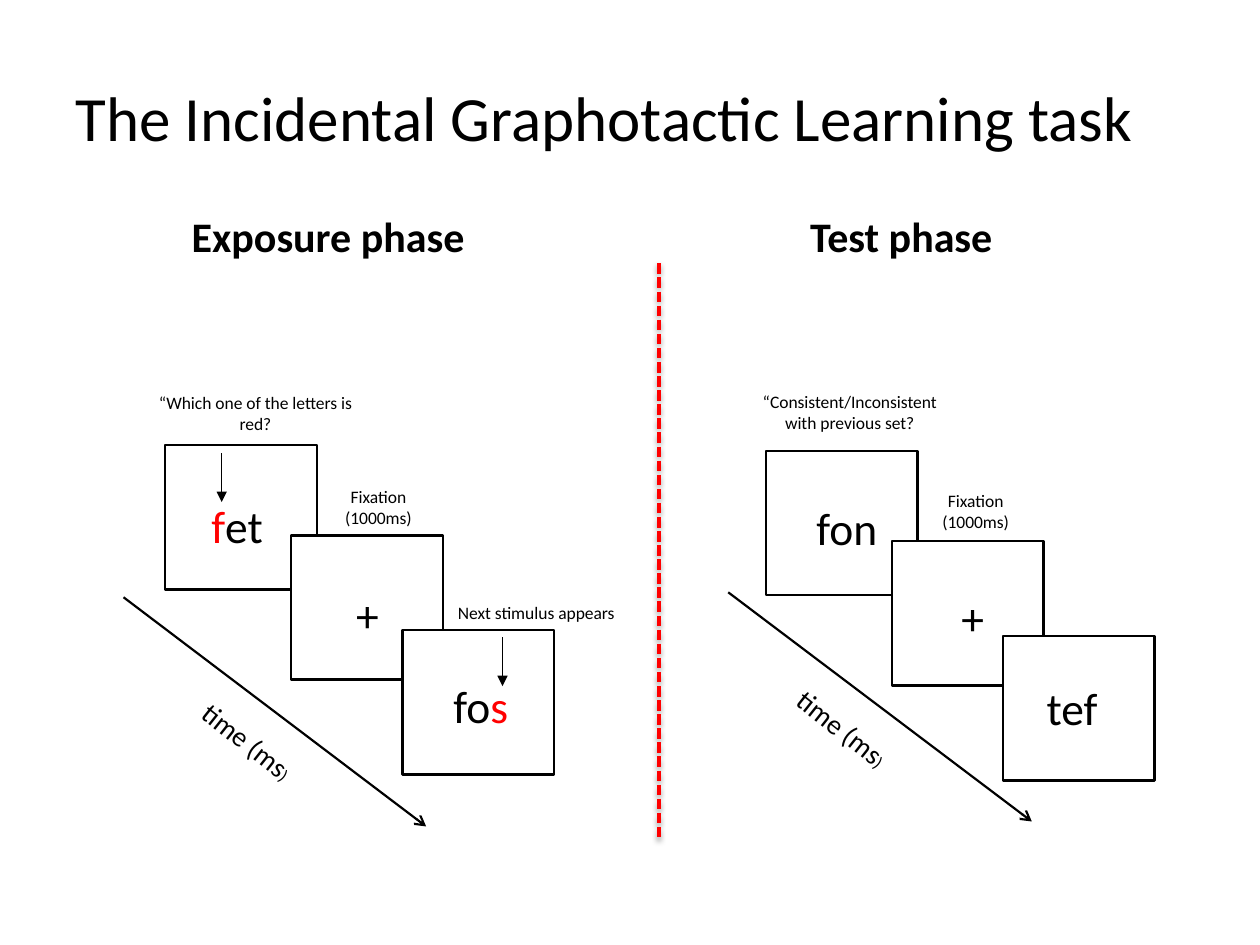
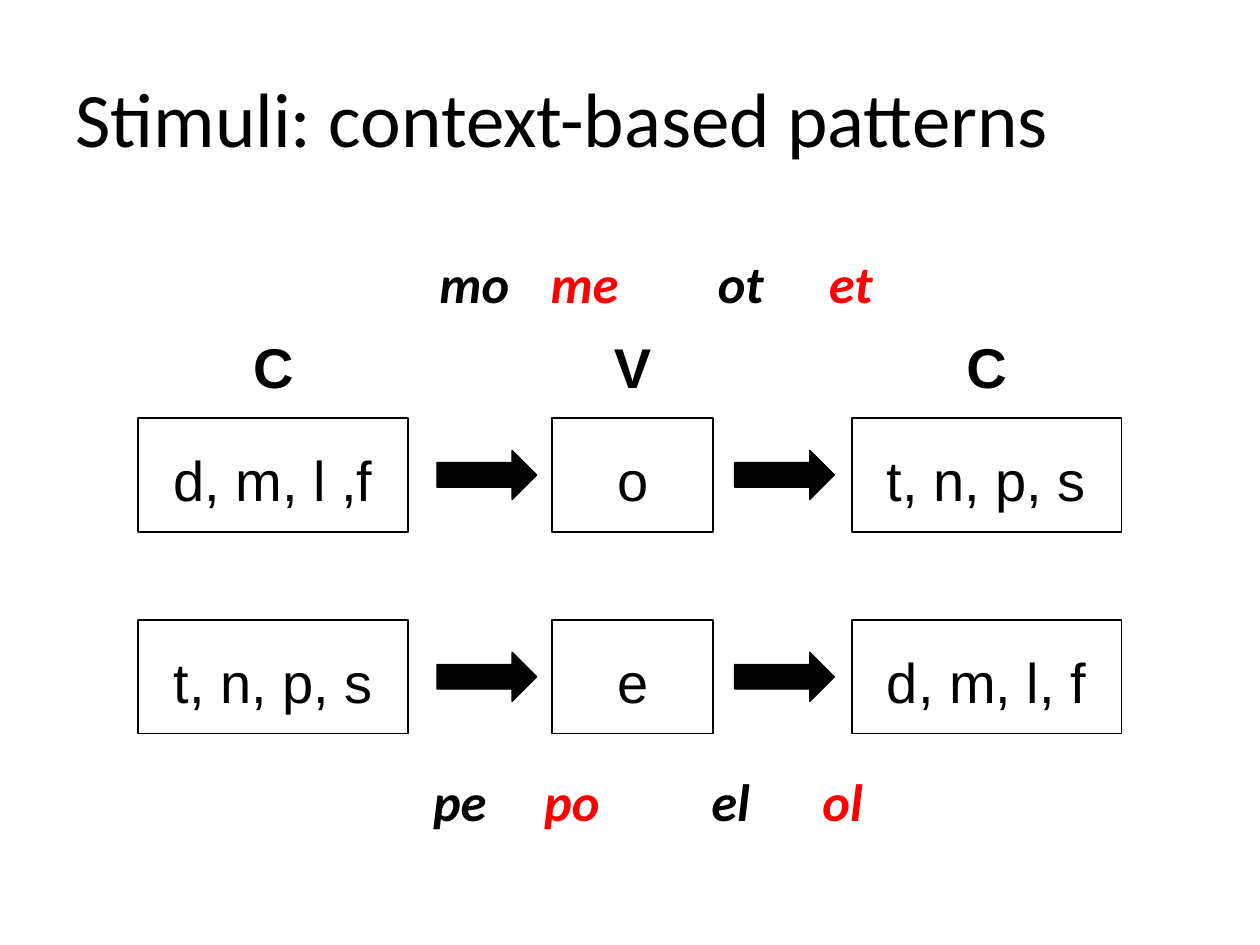
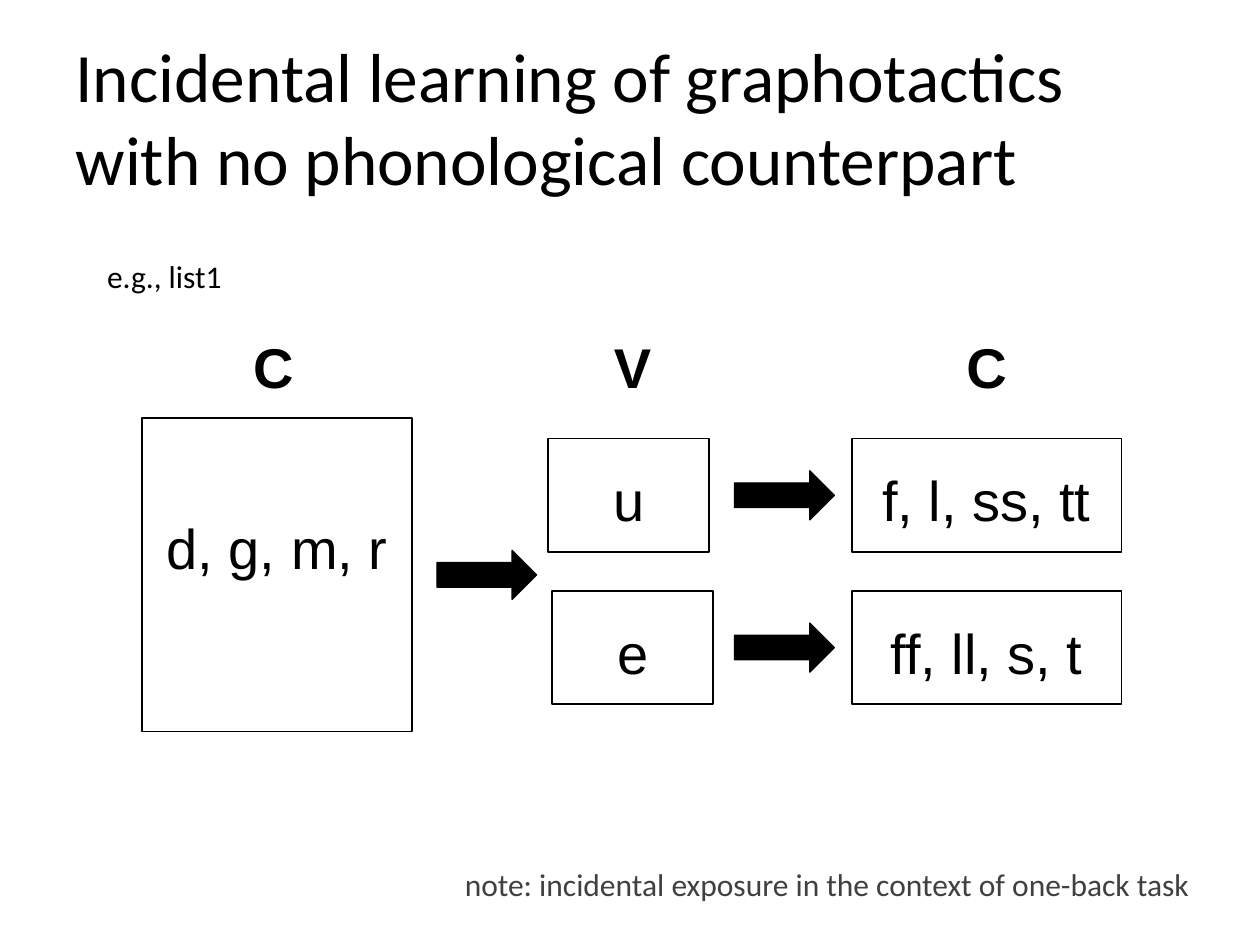
from lxml.etree import SubElement
from pptx import Presentation
from pptx.dml.color import RGBColor
from pptx.enum.dml import MSO_LINE
from pptx.enum.shapes import MSO_CONNECTOR, MSO_SHAPE
from pptx.enum.text import MSO_ANCHOR, MSO_AUTO_SIZE, PP_ALIGN
from pptx.oxml.ns import qn
from pptx.util import Cm, Pt

BLACK, RED, WHITE, GREY = "000000", "FF0000", "FFFFFF", "404040"
LEFT, CENTER = PP_ALIGN.LEFT, PP_ALIGN.CENTER

TITLE_BOX = (1.27, 0.76, 22.86, 3.18)
TITLE = {"size": 36}
HEADING = {"size": 24, "bold": True}
CAPTION = {"size": 10}
WORD = {"size": 26}
TIME = {"size": 16}
EXAMPLE = {"size": 30, "bold": True, "italic": True}
LETTERS = {"size": 32, "name": "Arial"}
COLUMN_LABEL = {**LETTERS, "bold": True}
NOTE = {"size": 18}

SCREEN_SIZE = (3.06, 2.91)
SCREEN_STEPS = [(0, 0), (2.54, 1.82), (4.78, 3.73)]
WORD_HEIGHT = 1.37
CAPTION_WIDTH = 4.5
TIME_TEXT = [("time (ms", {}), (")", {"size": 10})]
DIVIDER = [(13.28, 5.31), (13.28, 16.94)]
POINTER_LENGTH = 0.98

PHASES = [
    {
        "heading": ("Exposure phase", (1.32, 4.11, 10.59, 1.27)),
        "origin": (3.33, 8.97),
        "words": [
            ([("f", {"color": RED}), ("et", {})], (4.01, 9.91, 1.55)),
            ("+", (6.93, 11.71, 1.04)),
            ([("fo", {}), ("s", {"color": RED})], (8.89, 13.54, 1.8)),
        ],
        "captions": [
            (["“Which one of the letters is red?"], (2.9, 7.77)),
            (["Fixation", "(1000ms)"], (5.38, 9.68)),
            (["Next stimulus appears"], (8.56, 12.01)),
        ],
        "pointers": [(4.47, 9.14), (10.13, 12.85)],
        "time_arrow": [(2.49, 12.04), (8.59, 16.66)],
        "time_label": (2.74, 14.48),
    },
    {
        "heading": ("Test phase", (16.05, 4.11, 4.24, 1.27)),
        "origin": (15.44, 9.09),
        "words": [
            ("fon", (16.21, 9.96, 1.8)),
            ("+", (19.13, 11.76, 1.04)),
            ("tef", (20.85, 13.59, 1.57)),
        ],
        "captions": [
            (["“Consistent/Inconsistent with previous set?"], (14.88, 7.75)),
            (["Fixation", "(1000ms)"], (17.42, 9.75)),
        ],
        "pointers": [],
        "time_arrow": [(14.68, 11.94), (20.8, 16.56)],
        "time_label": (14.73, 14.22),
    },
]

COLUMNS = [("C", 2.79, 5.44), ("V", 11.13, 3.25), ("C", 17.17, 5.44)]
LABEL_TOP = 6.15
ROW_HEIGHT = 2.29
LETTER_INSET = 0.55
ARROW_LEFTS = [8.81, 14.81]
ARROW_SIZE = (2.01, 0.99)

CONTEXT_ROWS = [
    (8.43, ["d, m, l ,f", "o", "t, n, p, s"]),
    (12.5, ["t, n, p, s", "e", "d, m, l, f"]),
]
EXAMPLE_ROWS = [
    (8.61, 4.94, ["mo", "me", "ot", "et"]),
    (8.48, 15.38, ["pe", "po", "el", "ol"]),
]
EXAMPLE_OFFSETS = [0, 2.24, 5.61, 7.85]

ONSET = ("d, g, m, r", (2.87, 8.43, 5.44, 6.32), 1.92)
SPELLING_ROWS = [
    (8.84, 11.05, ["u", "f, l, ss, tt"]),
    (11.91, 11.13, ["e", "ff, ll, s, t"]),
]


def rgb(color):
    return RGBColor.from_string(color)


def apply(target, values):
    for name, value in values.items():
        setattr(target, name, value)


def place(shape, box):
    apply(shape, dict(zip(("left", "top", "width", "height"), map(Cm, box))))


def write(frame, lines, style, align=LEFT):
    lines = lines if isinstance(lines, list) and isinstance(lines[0], str) else [lines]
    for index, line in enumerate(lines):
        paragraph = frame.add_paragraph() if index else frame.paragraphs[0]
        paragraph.alignment = align
        for text, change in [(line, {})] if isinstance(line, str) else line:
            values = {"name": "Calibri", "color": BLACK, **style, **change}
            run = paragraph.add_run()
            run.text = text
            run.font.color.rgb = rgb(values.pop("color"))
            values["size"] = Pt(values["size"])
            apply(run.font, values)


def add_text(slide, lines, box, style, align=LEFT, wrap=True):
    textbox = slide.shapes.add_textbox(*map(Cm, box))
    textbox.text_frame.word_wrap = wrap
    write(textbox.text_frame, lines, style, align)
    return textbox


def add_block(slide, box, kind=MSO_SHAPE.RECTANGLE, fill=WHITE, weight=1):
    block = slide.shapes.add_shape(kind, *map(Cm, box))
    block.shadow.inherit = False
    block.fill.solid()
    block.fill.fore_color.rgb = rgb(fill)
    if weight:
        block.line.color.rgb = rgb(BLACK)
        block.line.width = Pt(weight)
    else:
        block.line.fill.background()
    return block


def add_letters(slide, text, box, style=LETTERS, weight=1, inset=LETTER_INSET):
    frame = add_block(slide, box, weight=weight).text_frame
    apply(frame, {"vertical_anchor": MSO_ANCHOR.TOP, "margin_top": Cm(inset), "word_wrap": True})
    write(frame, text, style, CENTER)


def add_block_arrow(slide, left, row_top, row_height=ROW_HEIGHT):
    width, height = ARROW_SIZE
    top = row_top + (row_height - height) / 2
    add_block(slide, (left, top, width, height), MSO_SHAPE.RIGHT_ARROW, BLACK, 0.75)


def add_line(slide, start, end, weight, color=BLACK, tail=None):
    line = slide.shapes.add_connector(MSO_CONNECTOR.STRAIGHT, *map(Cm, (*start, *end)))
    line.line.color.rgb = rgb(color)
    line.line.width = Pt(weight)
    if tail:
        SubElement(line.line._get_or_add_ln(), qn("a:tailEnd"), type=tail)
    effects = SubElement(line._element.spPr, qn("a:effectLst"))
    return line, effects


def add_divider(slide):
    divider, effects = add_line(slide, *DIVIDER, 2, RED)
    divider.line.dash_style = MSO_LINE.SQUARE_DOT
    shadow = SubElement(effects, qn("a:outerShdw"), blurRad=str(Pt(3.1)),
                        dist=str(Pt(1.6)), dir="5400000", rotWithShape="0")
    shade = SubElement(shadow, qn("a:srgbClr"), val=BLACK)
    SubElement(shade, qn("a:alpha"), val="38000")


def add_titled_slide(deck, text, size):
    slide = deck.slides.add_slide(deck.slide_layouts[5])
    title = slide.shapes.title
    place(title, TITLE_BOX)
    apply(title.text_frame, {"vertical_anchor": MSO_ANCHOR.MIDDLE,
                             "word_wrap": True, "auto_size": MSO_AUTO_SIZE.NONE})
    write(title.text_frame, text, {**TITLE, "size": size})
    return slide


def add_phase(slide, phase):
    left, top = phase["origin"]
    for across, down in SCREEN_STEPS:
        add_block(slide, (left + across, top + down, *SCREEN_SIZE), weight=1.5)
    add_line(slide, *phase["time_arrow"], 1.25, tail="arrow")
    for x, y in phase["pointers"]:
        add_line(slide, (x, y), (x, y + POINTER_LENGTH), 0.75, tail="triangle")
    for word, spot in phase["words"]:
        add_text(slide, word, (*spot, WORD_HEIGHT), WORD, wrap=False)
    for lines, spot in phase["captions"]:
        add_text(slide, lines, (*spot, CAPTION_WIDTH, 1.04), CAPTION, CENTER)
    time_label = add_text(slide, TIME_TEXT, (*phase["time_label"], CAPTION_WIDTH, 0.94), TIME, CENTER)
    time_label.rotation = 38.4
    heading, box = phase["heading"]
    add_text(slide, heading, box, HEADING, CENTER, wrap=False)


def add_column_labels(slide):
    for label, left, width in COLUMNS:
        add_letters(slide, label, (left, LABEL_TOP, width, ROW_HEIGHT), COLUMN_LABEL, weight=0)


def build_task(deck):
    slide = add_titled_slide(deck, "The Incidental Graphotactic Learning task", 36)
    for phase in PHASES:
        add_phase(slide, phase)
    add_divider(slide)


def build_context(deck):
    slide = add_titled_slide(deck, "Stimuli: context-based patterns", 44)
    add_column_labels(slide)
    for top, cells in CONTEXT_ROWS:
        for text, (_, left, width) in zip(cells, COLUMNS):
            add_letters(slide, text, (left, top, width, ROW_HEIGHT))
        for left in ARROW_LEFTS:
            add_block_arrow(slide, left, top)
    for left, top, examples in EXAMPLE_ROWS:
        for index, (text, offset) in enumerate(zip(examples, EXAMPLE_OFFSETS)):
            style = {**EXAMPLE, "color": RED if index % 2 else BLACK}
            add_text(slide, text, (left + offset, top, 2.41, 1.55), style)


def build_spelling(deck):
    slide = add_titled_slide(
        deck, "Incidental learning of graphotactics with no phonological counterpart", 39.6)
    add_column_labels(slide)
    onset, box, inset = ONSET
    add_letters(slide, onset, box, inset=inset)
    add_block_arrow(slide, ARROW_LEFTS[0], box[1], box[3])
    (_, _, vowel_width), (_, coda_left, coda_width) = COLUMNS[1:]
    for top, vowel_left, (vowel, coda) in SPELLING_ROWS:
        add_letters(slide, vowel, (vowel_left, top, vowel_width, ROW_HEIGHT))
        add_letters(slide, coda, (coda_left, top, coda_width, ROW_HEIGHT))
        add_block_arrow(slide, ARROW_LEFTS[1], top)
    add_text(slide, "note: incidental exposure in the context of one-back task",
             (9.12, 17.32, 15.37, 1.02), {**NOTE, "color": GREY}, wrap=False)
    add_text(slide, "e.g., list1", (1.91, 5.05, 4.67, 1.02), NOTE)


def main():
    deck = Presentation()
    apply(deck, {"slide_width": Cm(25.4), "slide_height": Cm(19.05)})
    for build in (build_task, build_context, build_spelling):
        build(deck)
    deck.save("out.pptx")


if __name__ == "__main__":
    main()
